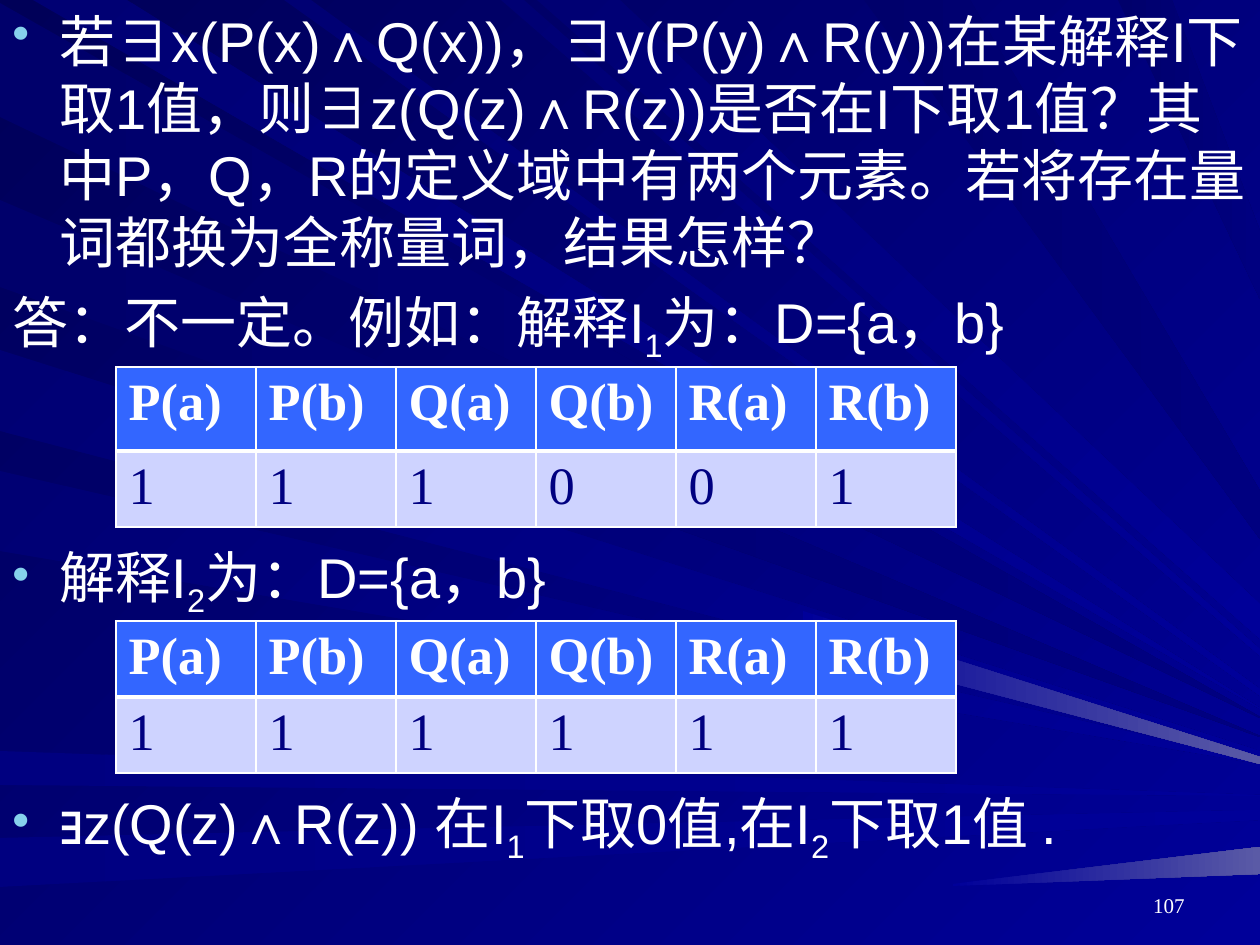
import pptx
import pptx.dml.color
import pptx.enum.text
import pptx.oxml.ns
import pptx.util
from dataclasses import dataclass
from lxml import etree

PX = 914400 // 126  # EMU in one px
WIDTH, HEIGHT = 1260, 945


@dataclass(frozen=True)
class Theme:
    back: tuple = (45, "000058", "000099")
    dark_ray: tuple = (0, "00006B", "000080")
    blue_ray: tuple = (45, "000073", "000099")
    low_ray: tuple = (0, "000080", "000099")
    bright_ray: tuple = (0, "000099", "5A5AA6")
    white: str = "FFFFFF"
    bullet: str = "86D1EC"
    head_fill: str = "3366FF"
    cell_fill: str = "CED3FF"
    cell_text: str = "000080"
    body_font: str = "Arial"
    table_font: str = "Times New Roman"
    body_size: int = 32
    table_size: int = 30
    number_size: int = 12


THEME = Theme()

# Rays run to the right edge: span at the start, then span on that edge
TOP_RAYS = [
    (THEME.blue_ray, (33, 127), (709, 708)),
    (THEME.blue_ray, (501, 524), (656, 649)),
    (THEME.blue_ray, (537, 620), (639, 604)),
    (THEME.dark_ray, (864, 970), (539, 491)),
    (THEME.dark_ray, (1118, 1172), (299, 231)),
    (THEME.blue_ray, (284, 311), (696, 689)),
]
LEFT_RAYS = [
    (THEME.dark_ray, (3, 117), (717, 718)),
    (THEME.low_ray, (751, 785), (795, 796)),
    (THEME.low_ray, (838, 887), (810, 820)),
    (THEME.dark_ray, (200, 287), (736, 737)),
    (THEME.blue_ray, (350, 431), (751, 759)),
    (THEME.blue_ray, (471, 551), (762, 764)),
]
BRIGHT_RAYS = [(803, (611, 644), (757, 764)), (953, (884, 886), (847, 874))]

# Text blocks: top, height, paragraphs (bulleted, pieces); every second piece is a subscript
BLOCKS = [
    (0, 362, [
        (True, ["若∃x(P(x)∧Q(x))，∃y(P(y)∧R(y))在某解释I下取1值，则∃z(Q(z)∧R(z))是否在I下取1值？"
                "其中P，Q，R的定义域中有两个元素。若将存在量词都换为全称量词，结果怎样？"]),
        (False, ["答：不一定。例如：解释I", "1", "为：D={a，b}"]),
    ]),
    (536, 80, [(True, ["解释I", "2", "为：D={a，b}"])]),
    (782, 80, [(True, ["∃z(Q(z)∧R(z)) 在I", "1", "下取0值,在I", "2", "下取1值 ."])]),
]

# Truth tables: top, row heights, values
HEADS = ["P(a)", "P(b)", "Q(a)", "Q(b)", "R(a)", "R(b)"]
TABLES = [(367, (84, 76), "111001"), (621, (76, 76), "111111")]


def rgb(code):
    return pptx.dml.color.RGBColor.from_string(code)


def add_element(parent, tag, **attributes):
    return etree.SubElement(parent, pptx.oxml.ns.qn(tag), attributes)


def paint_solid(fill, code):
    fill.solid()
    fill.fore_color.rgb = rgb(code)


def paint_gradient(fill, angle, *codes):
    fill.gradient()
    fill.gradient_angle = -angle % 360
    for stop, code in zip(fill.gradient_stops, codes):
        stop.color.rgb = rgb(code)


def set_font(font, name, size, color, bold=False):
    font.name, font.size, font.bold = name, pptx.util.Pt(size), bold
    font.color.rgb = rgb(color)


def add_ray(page, colors, first, second, ends):
    builder = page.shapes.build_freeform(*first, scale=PX)
    builder.add_line_segments([second, (WIDTH, ends[1]), (WIDTH, ends[0])], close=True)
    ray = builder.convert_to_shape()
    ray.shadow.inherit = False
    ray.line.fill.background()
    paint_gradient(ray.fill, *colors)


def add_rays(page):
    for colors, (start, stop), ends in TOP_RAYS:
        add_ray(page, colors, (start, 0), (stop, 0), ends)
    for colors, (start, stop), ends in LEFT_RAYS:
        add_ray(page, colors, (0, start), (0, stop), ends)
    for left, (start, stop), ends in BRIGHT_RAYS:
        add_ray(page, THEME.bright_ray, (left, start), (left, stop), ends)


def add_box(page, left, top, width, height):
    box = page.shapes.add_textbox(left * PX, top * PX, width * PX, height * PX)
    box.text_frame.word_wrap = True
    return box.text_frame


def add_block(page, top, height, paragraphs):
    frame = add_box(page, 0, top, WIDTH, height)
    for index, (bulleted, pieces) in enumerate(paragraphs):
        para = frame.add_paragraph() if index else frame.paragraphs[0]
        if index:
            para.space_before = pptx.util.Pt(7)
        props = para._p.get_or_add_pPr()
        props.set("marL", str(47 * PX))
        props.set("indent", str(-47 * PX))
        if bulleted:
            color = add_element(props, "a:buClr")
            add_element(color, "a:srgbClr", val=THEME.bullet)
            add_element(props, "a:buSzPct", val="90000")
            add_element(props, "a:buChar", char="•")
        set_font(para.font, THEME.body_font, THEME.body_size, THEME.white)
        for position, piece in enumerate(pieces):
            span = para.add_run()
            span.text = piece
            if position % 2:
                span._r.get_or_add_rPr().set("baseline", "-25000")


def set_borders(cell, **widths):
    props = cell._tc.get_or_add_tcPr()
    for side in "LRTB":
        width = pptx.util.Pt(widths.get(side, 1))
        line = add_element(props, "a:ln" + side, w=str(width))
        add_element(add_element(line, "a:solidFill"), "a:srgbClr", val=THEME.white)


def add_truth_table(page, top, heights, values):
    frame = page.shapes.add_table(2, len(HEADS), 116 * PX, top * PX,
                                  140 * len(HEADS) * PX, sum(heights) * PX)
    table = frame.table
    for column in table.columns:
        column.width = 140 * PX
    styles = [(HEADS, THEME.head_fill, THEME.white, True, {"B": 3}),
              (values, THEME.cell_fill, THEME.cell_text, False, {"T": 3})]
    for row, (texts, fill, color, bold, borders) in enumerate(styles):
        table.rows[row].height = heights[row] * PX
        for column, text in enumerate(texts):
            cell = table.cell(row, column)
            set_borders(cell, **borders)
            paint_solid(cell.fill, fill)
            cell.text = text
            set_font(cell.text_frame.paragraphs[0].font, THEME.table_font,
                     THEME.table_size, color, bold)


def add_page_number(page, number):
    frame = add_box(page, 903, 861, 294, 63)
    frame.vertical_anchor = pptx.enum.text.MSO_ANCHOR.BOTTOM
    para = frame.paragraphs[0]
    para.text = number
    para.alignment = pptx.enum.text.PP_ALIGN.RIGHT
    set_font(para.font, THEME.table_font, THEME.number_size, THEME.white)


def main():
    deck = pptx.Presentation()
    deck.slide_width, deck.slide_height = WIDTH * PX, HEIGHT * PX
    page = deck.slides.add_slide(deck.slide_layouts[6])
    # Background
    paint_gradient(page.background.fill, *THEME.back)
    add_rays(page)
    # Question, answer and tables
    for block in BLOCKS:
        add_block(page, *block)
    for table in TABLES:
        add_truth_table(page, *table)
    add_page_number(page, "107")
    deck.save("out.pptx")


if __name__ == "__main__":
    main()
